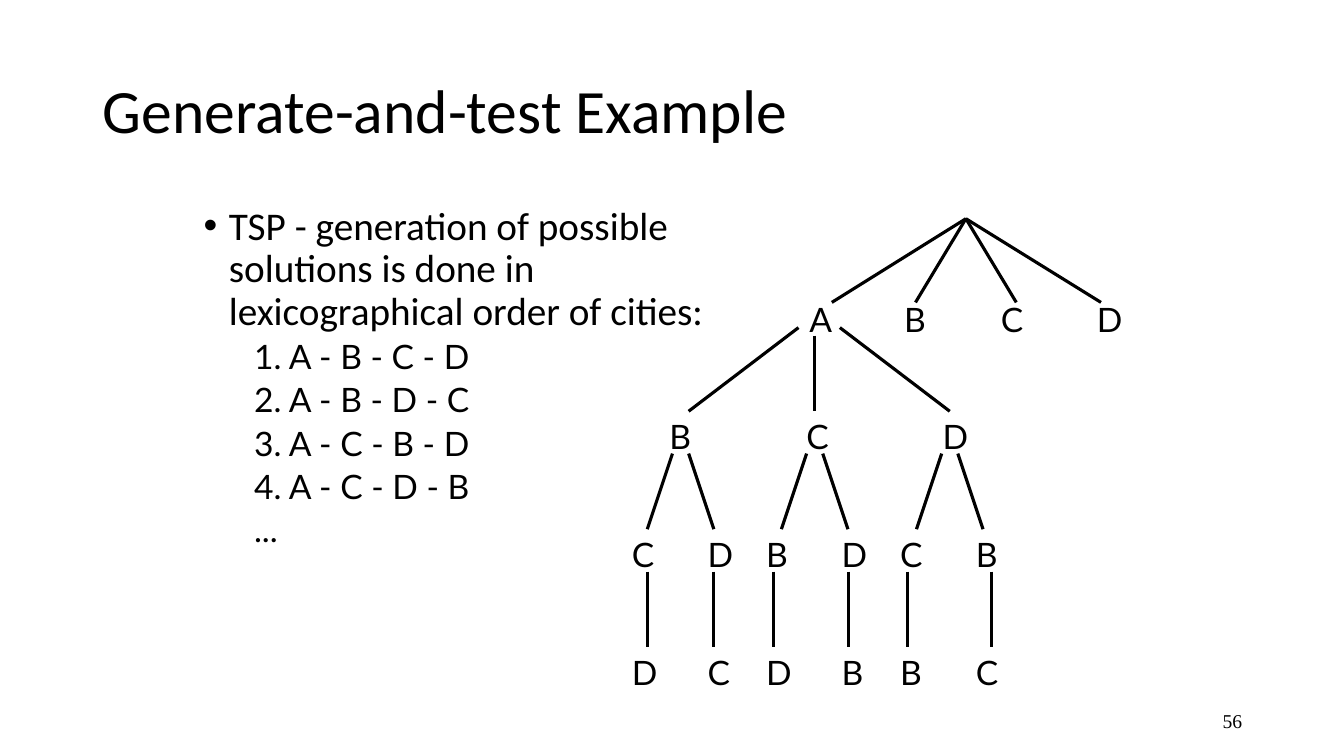
from lxml.etree import SubElement
from pptx import Presentation
from pptx.dml.color import RGBColor
from pptx.enum.shapes import MSO_CONNECTOR as CONN
from pptx.enum.text import MSO_ANCHOR as ANCHOR, MSO_AUTO_SIZE as AUTO, PP_ALIGN as ALIGN
from pptx.oxml.ns import qn
from pptx.util import Inches, Pt

TITLE = "Generate-and-test Example"
INTRO = "TSP - generation of possible solutions is done in lexicographical order of cities:"
TOURS = ["1. A - B - C - D", "2. A - B - D - C", "3. A - C - B - D",
         "4. A - C - D - B", "..."]
PAGE = "56"
BLACK = "000000"

# Tree levels: top of the labels, cities, left edge of each label
LEAF_X = [6.17, 6.92, 7.5, 8.25, 8.83, 9.58]
LEVELS = [
    (2.92, "ABCD", [7.93, 8.87, 9.83, 10.78]),
    (4.08, "BCD", [6.54, 7.9, 9.25]),
    (5.25, "CDBDCB", LEAF_X),
    (6.42, "DCDBBC", LEAF_X),
]

# Branches: top y, bottom y, (top x, bottom x) of each line
BRANCHES = [
    (2.17, 3, [(9.58, x) for x in (8.25, 9.08, 10.08, 10.92)]),
    (3.25, 4.08, [(7.92, 6.83), (8.33, 9.42)]),
    (3.33, 4.08, [(8.08, 8.08)]),
    (4.5, 5.25, [(x + side * 0.08, x + side * 0.33)
                 for x in (6.75, 8.08, 9.42) for side in (-1, 1)]),
    (5.67, 6.42, [(x, x) for x in (6.42, 7.08, 7.67, 8.42, 9, 9.83)]),
]


def color(value):
    return RGBColor.from_string(value)


def write(p, text, size=24, font="Lato", align=ALIGN.LEFT, line=None, before=0):
    p.alignment = align
    p.space_before = Pt(before)
    if line:
        p.line_spacing = line
    r = p.add_run()
    r.text = text
    r.font.size, r.font.name = Pt(size), font
    r.font.color.rgb = color(BLACK)


def set_bullet(p, indent, hanging, char=None):
    pPr = p._p.get_or_add_pPr()
    pPr.set("marL", str(Inches(indent)))
    pPr.set("indent", str(-Inches(hanging)))
    if char:
        SubElement(pPr, qn("a:buFont")).set("typeface", "Arial")
        SubElement(pPr, qn("a:buChar")).set("char", char)
    else:
        SubElement(pPr, qn("a:buNone"))


def place(sp, x, y, w, h):
    sp.left, sp.top, sp.width, sp.height = map(Inches, (x, y, w, h))
    return sp.text_frame


prs = Presentation()
prs.slide_width, prs.slide_height = Inches(13.33), Inches(7.5)
slide = prs.slides.add_slide(prs.slide_layouts[1])
shapes = slide.shapes

# Title
tf = place(shapes.title, 0.92, 0.4, 11.5, 1.45)
tf.vertical_anchor, tf.auto_size = ANCHOR.MIDDLE, AUTO.NONE
write(tf.paragraphs[0], TITLE, size=44, font="Calibri", line=0.9)

# Introduction and list of tours
tf = place(slide.placeholders[1], 1.92, 2, 5.25, 4.5)
tf.auto_size = AUTO.NONE
p = tf.paragraphs[0]
set_bullet(p, 0.25, 0.25, "•")
write(p, INTRO, size=28, font="Calibri", line=0.9)
for tour in TOURS:
    p = tf.add_paragraph()
    p.level = 1
    set_bullet(p, 0.75, 0.25)
    write(p, tour, line=0.9, before=5)

# City labels of the tree
for y, cities, lefts in LEVELS:
    for city, x in zip(cities, lefts):
        tf = shapes.add_textbox(Inches(x), Inches(y), Inches(0.44), Inches(0.5)).text_frame
        tf.word_wrap, tf.auto_size = False, AUTO.SHAPE_TO_FIT_TEXT
        write(tf.paragraphs[0], city)

# Branches of the tree
for y1, y2, ends in BRANCHES:
    for x1, x2 in ends:
        branch = shapes.add_connector(CONN.STRAIGHT, Inches(x1), Inches(y1),
                                      Inches(x2), Inches(y2))
        branch.line.width = Pt(2.25)
        branch.line.color.rgb = color(BLACK)
        SubElement(branch._element.spPr, qn("a:effectLst"))

# Slide number
tf = shapes.add_textbox(Inches(9.42), Inches(6.95), Inches(3), Inches(0.4)).text_frame
tf.word_wrap, tf.vertical_anchor = True, ANCHOR.MIDDLE
write(tf.paragraphs[0], PAGE, size=14, font="Times New Roman", align=ALIGN.RIGHT)

prs.save("out.pptx")
